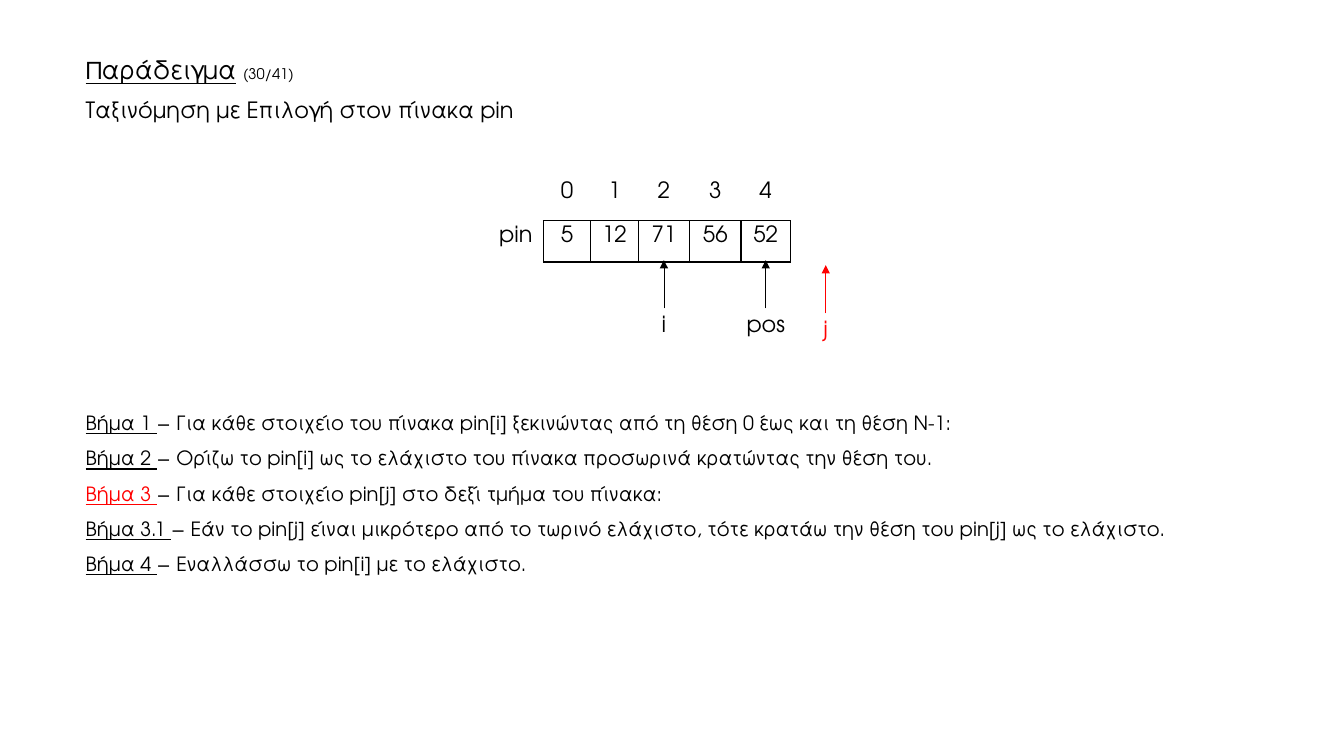
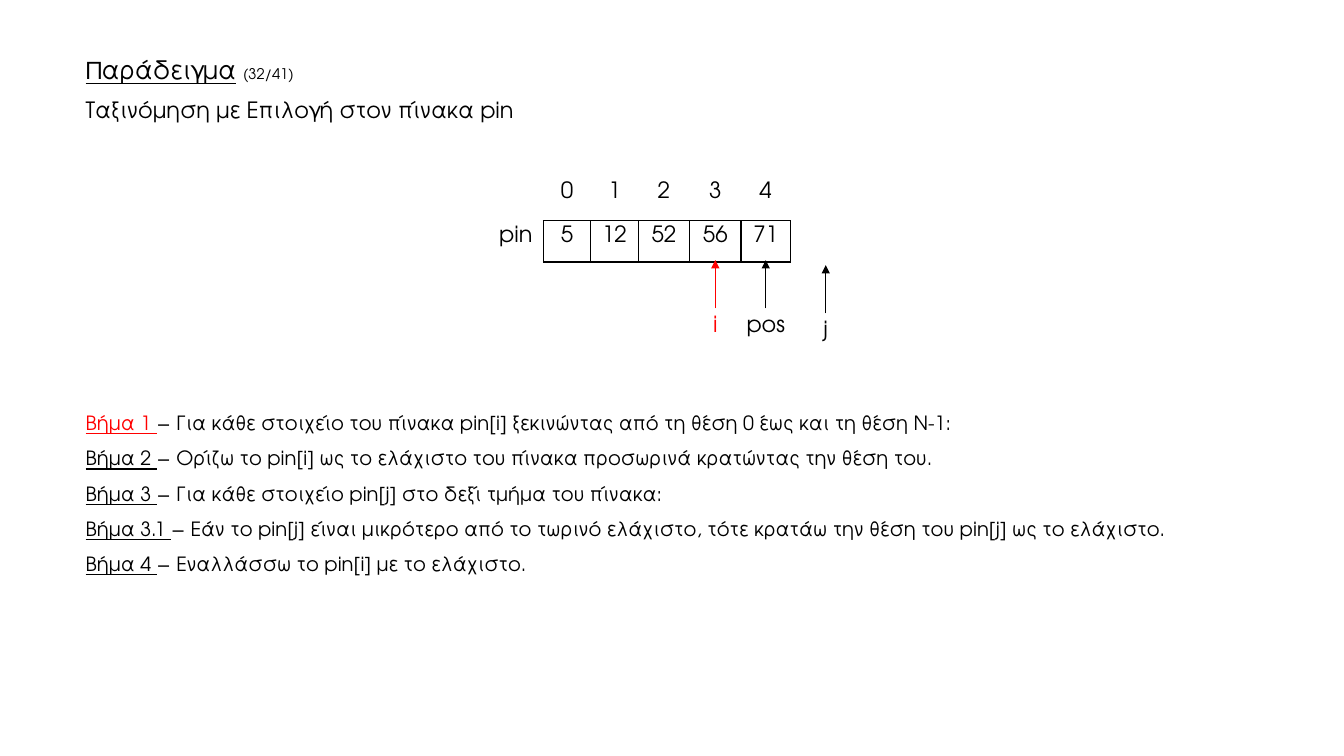
from collections import namedtuple
from itertools import accumulate

from lxml.etree import SubElement
from pptx import Presentation
from pptx.dml.color import RGBColor
from pptx.enum.text import MSO_ANCHOR, MSO_AUTO_SIZE, PP_ALIGN
from pptx.enum.shapes import MSO_CONNECTOR
from pptx.oxml.ns import qn
from pptx.util import Inches, Pt

Box = namedtuple("Box", "left top width height")

FONT = "TeX Gyre Adventor"
INK, ACTIVE = "000000", "FF0000"
PLAIN_TABLE = "{2D5ABB26-0587-4C30-8999-92F81FD0307C}"
SLIDE_WIDTH, SLIDE_HEIGHT = 13.33, 7.5
MARGIN = 0.75
HEADING = Box(MARGIN, 0.52, 10.79, 0.77)
ARRAY = Box(4.84, 1.76, 3.0, 0.84)
STEPS = Box(MARGIN, 3.91, 11.53, 1.82)
COLUMN_WIDTHS = [0.55, 0.47, 0.47, 0.51, 0.51, 0.49]
ROW_HEIGHTS = [0.43, 0.41]
ARROW_LENGTH = 0.48
BEYOND_END = 5

STEP_TEXTS = {
    "1": "Για κάθε στοιχείο του πίνακα pin[i] ξεκινώντας από τη θέση 0 έως και τη θέση Ν-1:",
    "2": "Ορίζω το pin[i] ως το ελάχιστο του πίνακα προσωρινά κρατώντας την θέση του.",
    "3": "Για κάθε στοιχείο pin[j] στο δεξί τμήμα του πίνακα:",
    "3.1": "Εάν το pin[j] είναι μικρότερο από το τωρινό ελάχιστο, "
           "τότε κρατάω την θέση του pin[j] ως το ελάχιστο.",
    "4": "Εναλλάσσω το pin[i] με το ελάχιστο.",
}


def color(value):
    return RGBColor.from_string(value)


def place(shape, box):
    shape.left, shape.top, shape.width, shape.height = map(Inches, box)


def style(paragraph, size, ink=INK, align=PP_ALIGN.LEFT, spacing=None, before=0):
    paragraph.font.name = FONT
    paragraph.font.size = Pt(size)
    paragraph.font.color.rgb = color(ink)
    paragraph.alignment = align
    paragraph.line_spacing = spacing
    paragraph.space_before = Pt(before)


def add_run(paragraph, text, underline=False):
    run = paragraph.add_run()
    run.text = text
    run.font.underline = underline
    return run


def add_heading(slide, box, page):
    title = slide.shapes.title
    place(title, box)
    frame = title.text_frame
    frame.auto_size = MSO_AUTO_SIZE.NONE
    frame.vertical_anchor = MSO_ANCHOR.TOP
    example, topic = frame.paragraphs[0], frame.add_paragraph()
    add_run(example, "Παράδειγμα", underline=True)
    add_run(example, " ")
    add_run(example, f"({page}/41)").font.size = Pt(10.5)
    topic.text = "Ταξινόμηση με Επιλογή στον πίνακα pin"
    for paragraph, size in ((example, 18), (topic, 16)):
        style(paragraph, size, spacing=0.9, before=10)


def add_steps(slide, box, active_step):
    body = slide.placeholders[1]
    place(body, box)
    frame = body.text_frame
    frame.auto_size = MSO_AUTO_SIZE.SHAPE_TO_FIT_TEXT
    for index, (number, text) in enumerate(STEP_TEXTS.items()):
        step = frame.add_paragraph() if index else frame.paragraphs[0]
        label = add_run(step, f"Βήμα {number} ", underline=True)
        add_run(step, f"− {text}")
        style(step, 14, spacing=1.5)
        if number == active_step:
            label.font.color.rgb = color(ACTIVE)
        properties = step._p.get_or_add_pPr()
        properties.set("marL", "0")
        properties.set("indent", "0")
        SubElement(properties, qn("a:buNone"))


def add_borders(cell, sides):
    properties = cell._tc.get_or_add_tcPr()
    for side in sides:
        line = SubElement(properties, qn(f"a:ln{side}"), w=str(Pt(1)))
        fill = SubElement(line, qn("a:solidFill"))
        SubElement(fill, qn("a:srgbClr"), val=INK)


def add_array(slide, box, values):
    rows = [["", *map(str, range(len(values)))], ["pin", *map(str, values)]]
    table = slide.shapes.add_table(len(rows), len(COLUMN_WIDTHS), *map(Inches, box)).table
    table.first_row = table.horz_banding = False
    table._tbl.tblPr.find(qn("a:tableStyleId")).text = PLAIN_TABLE
    for column, width in zip(table.columns, COLUMN_WIDTHS):
        column.width = Inches(width)
    for row_index, (row, height) in enumerate(zip(rows, ROW_HEIGHTS)):
        table.rows[row_index].height = Inches(height)
        for column_index, text in enumerate(row):
            cell = table.cell(row_index, column_index)
            cell.text = text
            style(cell.text_frame.paragraphs[0], 16, align=PP_ALIGN.CENTER)
            if row_index and column_index:
                add_borders(cell, "LRTB")
            elif row_index:
                add_borders(cell, "R")
            elif column_index:
                add_borders(cell, "B")
            cell.fill.background()


def add_pointer(slide, box, name, position, ink):
    edges = list(accumulate(COLUMN_WIDTHS, initial=box.left))[1:]
    tip = box.top + box.height - 0.02
    if position == BEYOND_END:
        center, tip = edges[-1] + 0.35, tip + 0.05
    else:
        center = (edges[position] + edges[position + 1]) / 2
    base = tip + ARROW_LENGTH
    width = 0.98 if len(name) > 1 else 0.24
    label = slide.shapes.add_textbox(
        *map(Inches, (center - width / 2, base, width, 0.36)))
    frame = label.text_frame
    frame.word_wrap = True
    frame.margin_left = frame.margin_right = 0
    frame.text = name
    style(frame.paragraphs[0], 16, ink, PP_ALIGN.CENTER, 0.9, 10)
    arrow = slide.shapes.add_connector(
        MSO_CONNECTOR.STRAIGHT, *map(Inches, (center, base, center, tip)))
    arrow.line.color.rgb = color(ink)
    arrow.line.width = Pt(0.5)
    SubElement(arrow.line._get_or_add_ln(), qn("a:tailEnd"), type="triangle")
    SubElement(arrow._element.spPr, qn("a:effectLst"))


def add_sorting_slide(deck, page, values, pointers, active_pointer, active_step):
    slide = deck.slides.add_slide(deck.slide_layouts[1])
    add_steps(slide, STEPS, active_step)
    add_heading(slide, HEADING, page)
    add_array(slide, ARRAY, values)
    for name, position in pointers.items():
        ink = ACTIVE if name == active_pointer else INK
        add_pointer(slide, ARRAY, name, position, ink)


deck = Presentation()
deck.slide_width, deck.slide_height = Inches(SLIDE_WIDTH), Inches(SLIDE_HEIGHT)
add_sorting_slide(deck, 30, [5, 12, 71, 56, 52],
                  {"i": 2, "pos": 4, "j": BEYOND_END}, "j", "3")
add_sorting_slide(deck, 32, [5, 12, 52, 56, 71],
                  {"i": 3, "pos": 4, "j": BEYOND_END}, "i", "1")
deck.save("out.pptx")
